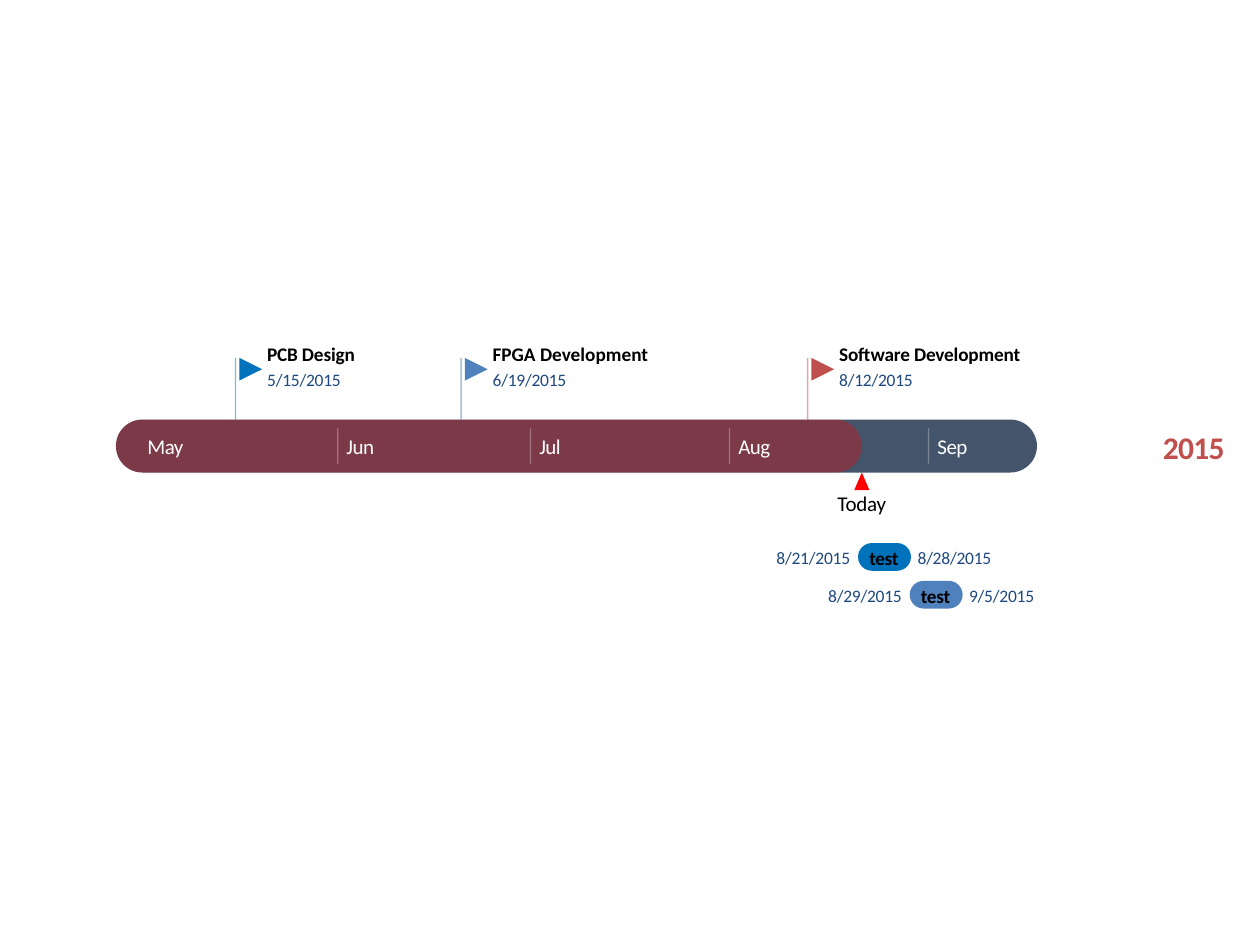
from lxml import etree
from pptx import Presentation
from pptx.dml.color import RGBColor
from pptx.enum.shapes import MSO_CONNECTOR, MSO_SHAPE
from pptx.enum.text import MSO_ANCHOR, PP_ALIGN
from pptx.oxml.ns import qn
from pptx.util import Inches, Pt

ROUND = MSO_SHAPE.ROUNDED_RECTANGLE
MERGE = MSO_SHAPE.FLOWCHART_MERGE
TRIANGLE = MSO_SHAPE.ISOSCELES_TRIANGLE
LEFT, CENTER = PP_ALIGN.LEFT, PP_ALIGN.CENTER
NAVY = "1F497E"
AXIS, TOP, HIGH = 0.92, 3.33, 0.42

deck = Presentation()
deck.slide_width, deck.slide_height = Inches(10), Inches(7.5)
slide = deck.slides.add_slide(deck.slide_layouts[6])
shapes = slide.shapes


def label(text, x, y, w, h, size, color, bold=False, align=LEFT, space=-10):
    box = shapes.add_textbox(Inches(x), Inches(y), Inches(w), Inches(h))
    frame = box.text_frame
    frame.margin_left = frame.margin_right = 0
    frame.margin_top = frame.margin_bottom = 0
    frame.vertical_anchor = MSO_ANCHOR.MIDDLE
    frame.word_wrap = False
    frame.text = text
    line = frame.paragraphs[0]
    line.alignment = align
    run = line.runs[0]
    run.font.name = "Calibri"
    run.font.size = Pt(size)
    run.font.bold = bold
    run.font.color.rgb = RGBColor.from_string(color)
    run.font._element.set("spc", str(space))


def draw(kind, x, y, w, h, color, alpha=100):
    if kind == "line":
        item = shapes.add_connector(MSO_CONNECTOR.STRAIGHT, Inches(x), Inches(y),
                                    Inches(x + w), Inches(y + h))
        item.line.width = Pt(0.75)
        fill = item.line.fill
        etree.SubElement(item._element.spPr, qn("a:effectLst"))
    else:
        item = shapes.add_shape(kind, Inches(x), Inches(y), Inches(w), Inches(h))
        item.shadow.inherit = False
        item.line.fill.background()
        fill = item.fill
        if kind == ROUND:
            item.adjustments[0] = 0.5
    fill.solid()
    fill.fore_color.rgb = RGBColor.from_string(color)
    if alpha < 100:
        tone = next(item._element.spPr.iter(qn("a:srgbClr")))
        etree.SubElement(tone, qn("a:alpha")).set("val", str(alpha * 1000))
    return item


flags = [
    ("PCB Design", "5/15/2015", 1.87, 0.72, "0072BC"),
    ("FPGA Development", "6/19/2015", 3.66, 1.24, "4F81BD"),
    ("Software Development", "8/12/2015", 6.41, 1.47, "C0504D"),
]
for name, date, x, width, color in flags:
    draw("line", x, 2.84, 0, TOP - 2.84, color, 50)

label("2015", 9.22, 3.39, 0.51, 0.31, 18, "C0504D", True, CENTER, -40)
draw(ROUND, AXIS, TOP, 7.31, HIGH, "44546A")
draw(ROUND, AXIS, TOP, 5.92, HIGH, "FF0000", 30)
draw(TRIANGLE, 6.78, TOP + HIGH, 0.12, 0.14, "FF0000")
label("Today", 6.64, 3.89, 0.4, 0.2, 12, "000000", align=CENTER)

months = [("May", 1.1, 0.29), ("Jun", 2.68, 0.23), ("Jul", 4.21, 0.18),
          ("Aug", 5.79, 0.26), ("Sep", 7.37, 0.25)]
for month, x, width in months:
    if month != "May":
        draw("line", x, 3.4, 0, 0.28, "FFFFFF", 30)
    label(month, x + 0.07, 3.44, width, 0.2, 12, "FFFFFF", space=-30)

for name, date, x, width, color in flags:
    space = 0 if name == "FPGA Development" else -10
    label(name, x + 0.25, 2.71, width, 0.19, 11, "000000", True, space=space)
    label(date, x + 0.25, 2.93, 0.61, 0.17, 10, NAVY)
    flag = draw(MERGE, x + 0.03, 2.84, 0.18, 0.18, color)
    flag.rotation = 270

tasks = [
    ("test", "8/21/2015", "8/28/2015", 6.81, 4.31, 0.61, "0072BC"),
    ("test", "8/29/2015", "9/5/2015", 7.22, 4.61, 0.54, "4F81BD"),
]
for name, start, end, x, y, width, color in tasks:
    draw(ROUND, x, y, 0.42, 0.22, color)
    label(start, x - 0.66, y + 0.03, 0.61, 0.17, 10, NAVY, align=CENTER)
    label(end, x + 0.46, y + 0.03, width, 0.17, 10, NAVY, align=CENTER)
    label(name, x + 0.08, y + 0.02, 0.25, 0.19, 11, "000000", True, CENTER, -20)

deck.save("out.pptx")
